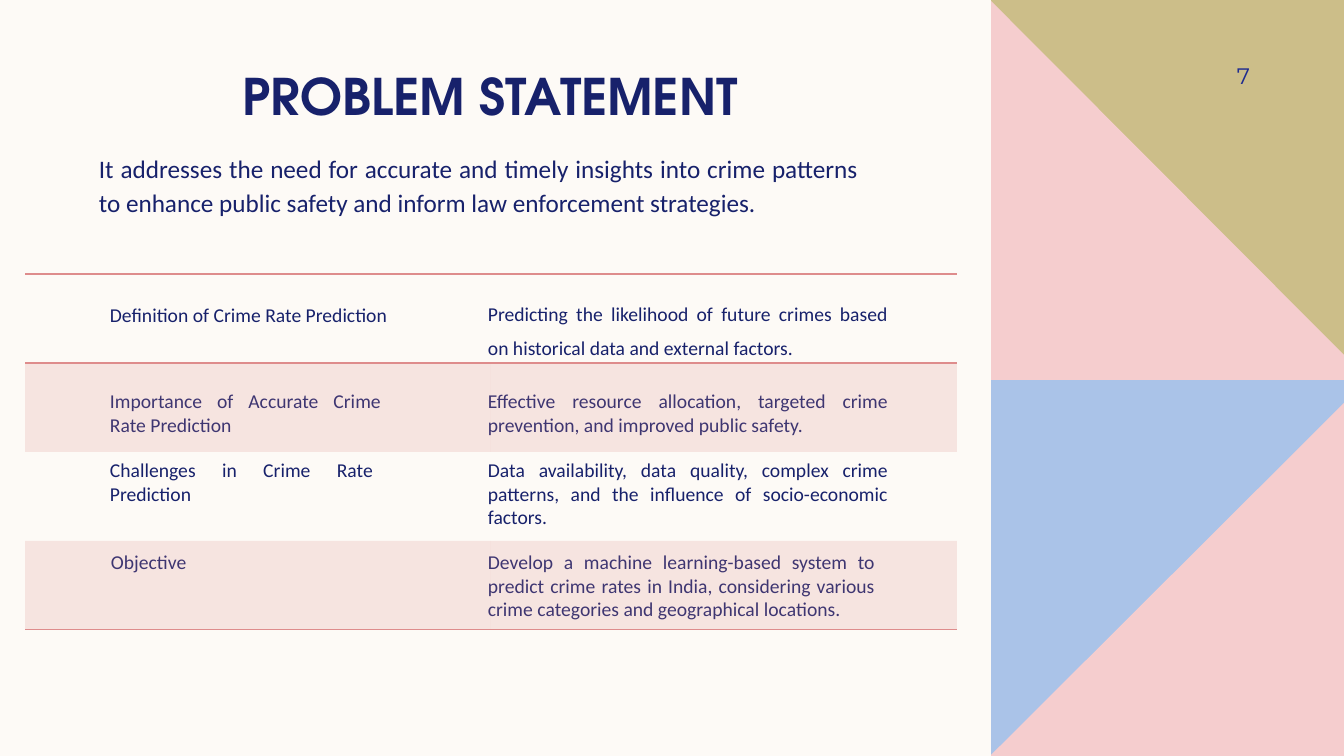
from lxml import etree
from pptx import Presentation
from pptx.dml.color import RGBColor
from pptx.enum.text import MSO_ANCHOR, PP_ALIGN
from pptx.oxml.ns import qn
from pptx.util import Pt

EMU_PER_PX = 914400 / 100.8
WIDTH, HEIGHT = 1344, 756

CREAM = RGBColor(0xFD, 0xFA, 0xF6)
BLUE = RGBColor(0xAA, 0xC3, 0xE8)
PINK = RGBColor(0xF5, 0xCD, 0xCE)
OLIVE = RGBColor(0xCC, 0xBE, 0x89)
ROSE = RGBColor(0xDE, 0x8C, 0x8C)
NAVY = RGBColor(0x17, 0x21, 0x6B)
INDIGO = RGBColor(0x1F, 0x2C, 0x8F)

LEFT, CENTER, RIGHT = PP_ALIGN.LEFT, PP_ALIGN.CENTER, PP_ALIGN.RIGHT
JUSTIFY = PP_ALIGN.JUSTIFY
TOP, MIDDLE, BOTTOM = MSO_ANCHOR.TOP, MSO_ANCHOR.MIDDLE, MSO_ANCHOR.BOTTOM
NO_STYLE_NO_GRID = "{2D5ABB26-0587-4C30-8999-92F81FD0307C}"


def px(length):
    return round(length * EMU_PER_PX)


def write_text(frame, text, font="Calibri", size=14, color=NAVY, bold=False,
               align=JUSTIFY, line_spacing=None, space_before=0):
    paragraph = frame.paragraphs[0]
    paragraph.alignment = align
    paragraph.space_before = Pt(space_before)
    if line_spacing:
        paragraph.line_spacing = Pt(line_spacing)
    run = paragraph.add_run()
    run.text = text
    run.font.name = font
    run.font.size = Pt(size)
    run.font.bold = bold
    run.font.color.rgb = color


class SlideBuilder:
    def __init__(self, slide, background):
        self.slide = slide
        slide.background.fill.solid()
        slide.background.fill.fore_color.rgb = background

    def polygon(self, points, color):
        start, *others = points
        builder = self.slide.shapes.build_freeform(*start, scale=EMU_PER_PX)
        builder.add_line_segments(others, close=True)
        shape = builder.convert_to_shape()
        shape.shadow.inherit = False
        shape.fill.solid()
        shape.fill.fore_color.rgb = color
        shape.line.fill.background()

    def text(self, box, text, anchor=TOP, margin=5, **text_format):
        shape = self.slide.shapes.add_textbox(*map(px, box))
        frame = shape.text_frame
        frame.word_wrap = True
        frame.vertical_anchor = anchor
        frame.margin_top = frame.margin_bottom = px(margin)
        write_text(frame, text, **text_format)

    def table(self, box, rows, columns):
        shape = self.slide.shapes.add_table(rows, columns, *map(px, box))
        for style in shape.element.iter(qn("a:tableStyleId")):
            style.text = NO_STYLE_NO_GRID
        shape.table.first_row = shape.table.horz_banding = False
        return shape.table

    def tint(self, cell, color, percent):
        cell.fill.solid()
        cell.fill.fore_color.rgb = color
        for value in cell._tc.get_or_add_tcPr().iter(qn("a:srgbClr")):
            etree.SubElement(value, qn("a:alpha"), val=str(percent * 1000))

    def borders(self, cell, sides, color):
        properties = cell._tc.get_or_add_tcPr()
        for index, side in enumerate(sides):
            line = etree.Element(qn(f"a:ln{side}"), w=str(Pt(1)))
            fill = etree.SubElement(line, qn("a:solidFill"))
            etree.SubElement(fill, qn("a:srgbClr"), val=str(color))
            properties.insert(index, line)


def main():
    presentation = Presentation()
    presentation.slide_width, presentation.slide_height = px(WIDTH), px(HEIGHT)
    slide = presentation.slides.add_slide(presentation.slide_layouts[6])
    builder = SlideBuilder(slide, CREAM)

    # Coloured panels on the right
    edge, half = 991, 379
    builder.polygon([(edge, 378), (WIDTH, 378), (WIDTH, HEIGHT), (edge, HEIGHT)], BLUE)
    builder.polygon([(WIDTH, 403), (WIDTH, HEIGHT), (edge, HEIGHT), (edge, 755)], PINK)
    builder.polygon([(edge, 0), (WIDTH, 0), (WIDTH, half), (edge, half)], OLIVE)
    builder.polygon([(edge, 1), (WIDTH, 355), (WIDTH, 380), (edge, 380)], PINK)

    # Heading, page number and introduction
    builder.text((60, -9, 860, 135), "PROBLEM STATEMENT", anchor=BOTTOM, margin=0,
                 font="TeX Gyre Adventor", size=36, bold=True, align=CENTER,
                 line_spacing=42.5)
    builder.text((1151, 50, 109, 52), "7", anchor=MIDDLE, font="Montserrat",
                 size=16, color=INDIGO, align=RIGHT)
    builder.text((89, 149, 779, 91),
                 "It addresses the need for accurate and timely insights into crime "
                 "patterns to enhance public safety and inform law enforcement strategies.",
                 margin=0, size=18, line_spacing=24.5, space_before=10)

    # Topics and their descriptions: box, text, alignment, line spacing
    entries = [
        ((100, 287, 390, 76), "Definition of Crime Rate Prediction", JUSTIFY, 24.5),
        ((478, 286, 420, 112), "Predicting the likelihood of future crimes based on "
         "historical data and external factors.", JUSTIFY, 24.5),
        ((100, 384, 291, 89), "Importance of Accurate Crime Rate Prediction",
         JUSTIFY, None),
        ((478, 384, 420, 89), "Effective resource allocation, targeted crime "
         "prevention, and improved public safety.", JUSTIFY, None),
        ((100, 453, 283, 89), "Challenges in Crime Rate Prediction", JUSTIFY, None),
        ((478, 453, 420, 112), "Data availability, data quality, complex crime "
         "patterns, and the influence of socio-economic factors.", JUSTIFY, None),
        ((101, 545, 233, 65), "Objective", LEFT, None),
        ((478, 545, 407, 112), "Develop a machine learning-based system to predict "
         "crime rates in India, considering various crime categories and "
         "geographical locations.", JUSTIFY, None),
    ]
    for box, text, align, line_spacing in entries:
        builder.text(box, text, align=align, line_spacing=line_spacing)

    # Banded grid over the topics
    table = builder.table((25, 274, 932, 356), rows=4, columns=2)
    ruled_sides = {0: "TB", 3: "B"}
    for row_index, row in enumerate(table.rows):
        for cell in row.cells:
            if row_index % 2:
                builder.tint(cell, ROSE, 20)
            else:
                cell.fill.background()
            builder.borders(cell, ruled_sides.get(row_index, ""), ROSE)

    presentation.save("out.pptx")


if __name__ == "__main__":
    main()
